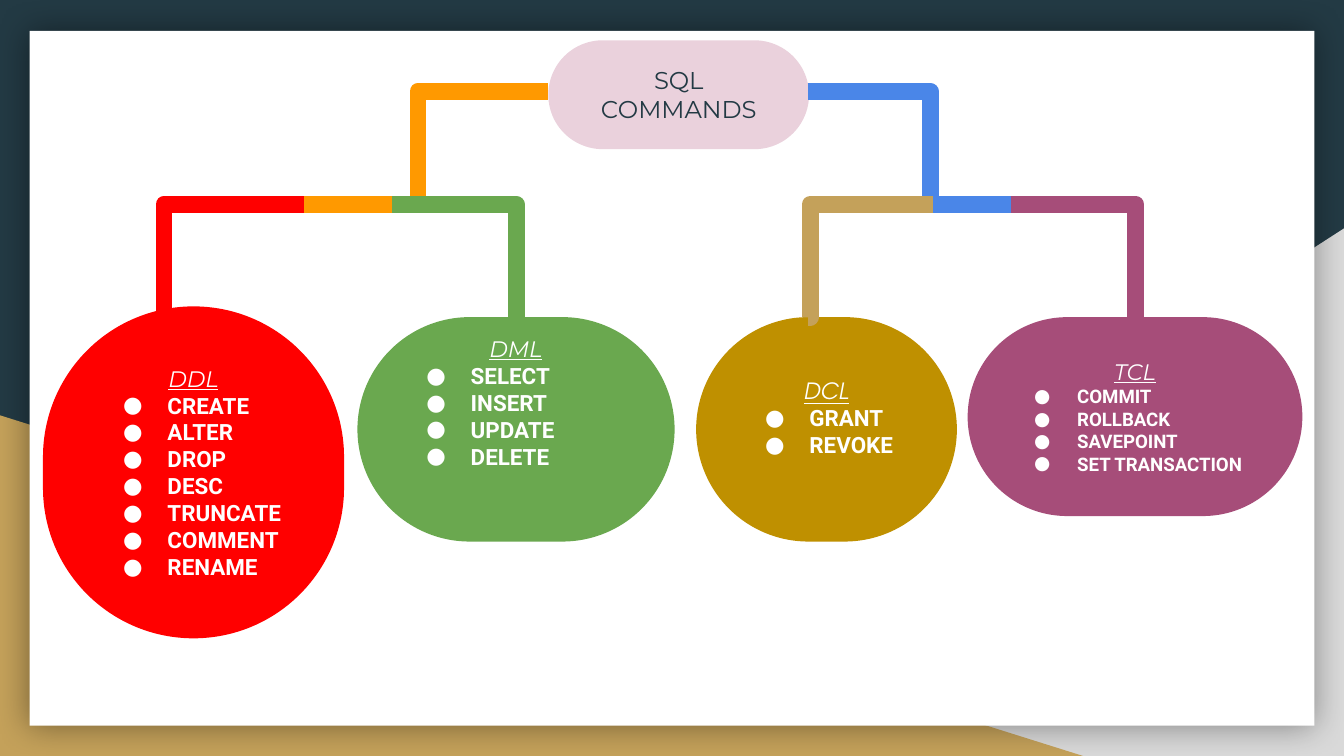
from dataclasses import dataclass
from typing import Optional

from lxml.etree import SubElement
from pptx import Presentation
from pptx.dml.color import RGBColor
from pptx.enum.shapes import MSO_CONNECTOR, MSO_SHAPE
from pptx.enum.text import MSO_ANCHOR, MSO_AUTO_SIZE, PP_ALIGN
from pptx.oxml.ns import qn
from pptx.util import Inches, Pt

COLORS = {
    "navy": "233A44", "gray": "D9D9D9", "sand": "C4A15A", "white": "FFFFFF",
    "pink": "EAD1DC", "red": "FF0000", "green": "6AA84F", "ochre": "BF9000",
    "plum": "A64D79", "blue": "4A86E8", "orange": "FF9900", "black": "000000",
}

# Grid of square cells: 100 columns by 56.25 rows
SLIDE_WIDTH, SLIDE_HEIGHT = Inches(10), Inches(5.625)
CELL = SLIDE_WIDTH / 100
INSET = 1
UPPER_ROW, MIDDLE_ROW, LOWER_ROW = 6.8, 15.2, 23.6


@dataclass(frozen=True)
class Box:
    column: float
    row: float
    columns: float
    rows: float

    def lengths(self) -> list[int]:
        return [cells(n) for n in (self.column, self.row, self.columns, self.rows)]


@dataclass(frozen=True)
class Group:
    heading: str
    commands: list[str]
    box: Box
    color: str
    heading_font: str = "Montserrat"
    size: int = 12
    hanging: float = 3.3
    space_below: float = INSET


@dataclass(frozen=True)
class Branch:
    start: tuple[float, float]
    end: tuple[float, float]
    color: str
    bend: Optional[float] = None  # share of the width; None means a single corner


def cells(count: float) -> int:
    return round(count * CELL)


def rgb(name: str) -> RGBColor:
    return RGBColor.from_string(COLORS[name])


def add_block(slide, kind, box: Box, color: str):
    shape = slide.shapes.add_shape(kind, *box.lengths())
    shape.shadow.inherit = False
    shape.fill.solid()
    shape.fill.fore_color.rgb = rgb(color)
    shape.line.fill.background()
    return shape


def add_pill(slide, box: Box, color: str):
    pill = add_block(slide, MSO_SHAPE.ROUNDED_RECTANGLE, box, color)
    pill.adjustments[0] = 0.5
    return pill


def set_frame(frame, inset: float = INSET, space_below: float = INSET) -> None:
    frame.word_wrap = True
    frame.auto_size = MSO_AUTO_SIZE.NONE
    frame.vertical_anchor = MSO_ANCHOR.MIDDLE
    frame.margin_left = frame.margin_right = frame.margin_top = cells(inset)
    frame.margin_bottom = cells(space_below)


def write(paragraph, text: str, *, font: str, size: int, color: str = "white",
          bold: bool = False, italic: bool = False, underline: bool = False,
          align=PP_ALIGN.LEFT, hanging: float = 0) -> None:
    paragraph.alignment = align
    if hanging:
        properties = paragraph._p.get_or_add_pPr()
        properties.set("marL", str(cells(5)))
        properties.set("indent", str(-cells(hanging)))
        bullet_color = SubElement(properties, qn("a:buClr"))
        SubElement(bullet_color, qn("a:srgbClr"), val=COLORS[color])
        SubElement(properties, qn("a:buFont"), typeface=font)
        SubElement(properties, qn("a:buChar"), char="●")
    run = paragraph.add_run()
    run.text = text
    run.font.name, run.font.size = font, Pt(size)
    run.font.bold, run.font.italic, run.font.underline = bold, italic, underline
    run.font.color.rgb = rgb(color)


def add_group(slide, group: Group) -> None:
    frame = add_pill(slide, group.box, group.color).text_frame
    set_frame(frame, space_below=group.space_below)
    write(frame.paragraphs[0], group.heading, font=group.heading_font, size=12,
          italic=True, underline=True, align=PP_ALIGN.CENTER)
    for command in group.commands:
        write(frame.add_paragraph(), command, font="Roboto", size=group.size,
              bold=True, hanging=group.hanging)


def add_branch(slide, branch: Branch) -> None:
    points = [cells(n) for n in (*branch.start, *branch.end)]
    connector = slide.shapes.add_connector(MSO_CONNECTOR.ELBOW, *points)
    connector.line.width = Pt(9)
    connector.line.color.rgb = rgb(branch.color)
    properties = connector._element.spPr
    SubElement(properties.find(qn("a:ln")), qn("a:round"))
    SubElement(properties, qn("a:effectLst"))
    geometry = properties.find(qn("a:prstGeom"))
    if branch.bend is None:
        geometry.set("prst", "bentConnector2")
    else:
        SubElement(geometry.find(qn("a:avLst")), qn("a:gd"), name="adj1",
                   fmla=f"val {round(branch.bend * 100000)}")


def add_backdrop(slide) -> None:
    slide.background.fill.solid()
    slide.background.fill.fore_color.rgb = rgb("navy")
    right = add_block(slide, MSO_SHAPE.RIGHT_TRIANGLE, Box(39.2, 17, 60.8, 39.25), "gray")
    right._element.spPr.find(qn("a:xfrm")).set("flipH", "1")
    add_block(slide, MSO_SHAPE.RIGHT_TRIANGLE, Box(0, 30.9, 80.6, 25.35), "sand")
    # White page with a soft shadow all around
    page = add_block(slide, MSO_SHAPE.RECTANGLE, Box(2.2, 2.3, 95.6, 51.7), "white")
    effects = page._element.spPr.find(qn("a:effectLst"))
    shadow = SubElement(effects, qn("a:outerShdw"), blurRad=str(Pt(18)), dist="0",
                        dir="0", algn="ctr", rotWithShape="0")
    shade = SubElement(shadow, qn("a:srgbClr"), val=COLORS["black"])
    SubElement(shade, qn("a:alpha"), val="40000")


def add_root(slide) -> None:
    add_pill(slide, Box(40.8, 3, 19.4, 8.1), "pink")
    title = slide.shapes.title
    title.left, title.top, title.width, title.height = Box(43, 3, 15, 8.1).lengths()
    set_frame(title.text_frame, inset=0, space_below=0)
    write(title.text_frame.paragraphs[0], "SQL COMMANDS", font="Montserrat",
          size=13, color="navy", align=PP_ALIGN.CENTER)
    slide.shapes._spTree.append(title._element)  # bring in front of the pill


GROUPS = [
    Group("DDL", ["CREATE", "ALTER", "DROP", "DESC", "TRUNCATE", "COMMENT", "RENAME"],
          Box(3.2, 22.8, 22.4, 24.7), "red"),
    Group("DML", ["SELECT", "INSERT", "UPDATE", "DELETE"],
          Box(26.6, LOWER_ROW, 23.6, 16.7), "green", space_below=5),
    Group("DCL", ["GRANT", "REVOKE"], Box(51.8, LOWER_ROW, 19.4, 16.7), "ochre",
          heading_font="TeX Gyre Adventor", space_below=2.7),
    Group("TCL", ["COMMIT", "ROLLBACK", "SAVEPOINT", "SET TRANSACTION"],
          Box(72, LOWER_ROW, 24.9, 14.8), "plum", size=10, hanging=3.2),
]

BRANCHES = [
    Branch((60.1, UPPER_ROW), (79.5, MIDDLE_ROW), "blue", 0.47),
    Branch((21.4, MIDDLE_ROW), (40.8, UPPER_ROW), "orange", 0.5),
    Branch((29.2, MIDDLE_ROW), (38.4, LOWER_ROW), "green"),
    Branch((13.4, LOWER_ROW), (22.6, MIDDLE_ROW), "red", -0.13),
    Branch((75.2, MIDDLE_ROW), (84.5, LOWER_ROW), "plum"),
    Branch((60.1, LOWER_ROW), (69.4, MIDDLE_ROW), "sand", 0.02),
]


def main() -> None:
    presentation = Presentation()
    presentation.slide_width, presentation.slide_height = SLIDE_WIDTH, SLIDE_HEIGHT
    slide = presentation.slides.add_slide(presentation.slide_layouts[5])
    add_backdrop(slide)
    add_root(slide)
    for group in GROUPS:
        add_group(slide, group)
    for branch in BRANCHES:
        add_branch(slide, branch)
    presentation.save("out.pptx")


if __name__ == "__main__":
    main()
